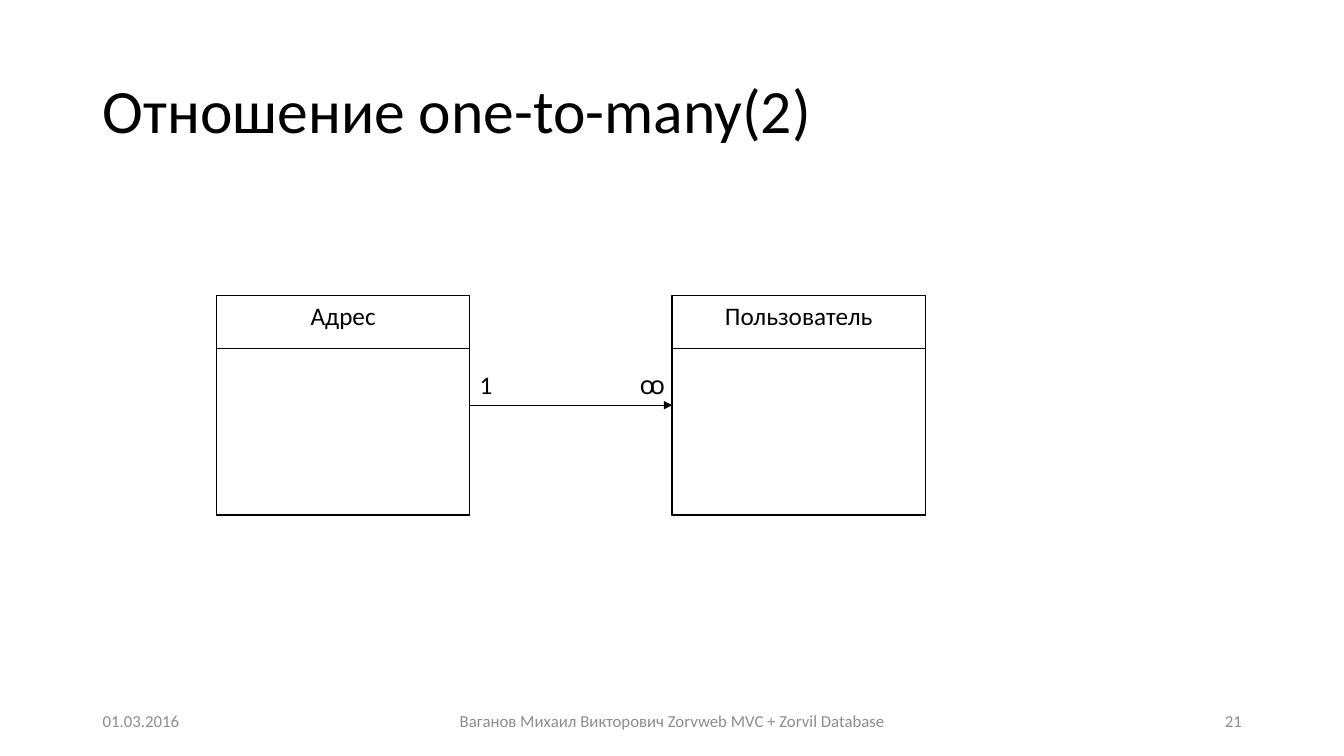
"""Builds a slide showing a one-to-many relation between two entities."""
import pptx
import pptx.util
import pptx.dml.color
import pptx.enum.dml
import pptx.enum.shapes
import pptx.enum.text
import pptx.oxml

Cm = pptx.util.Cm
Pt = pptx.util.Pt
ALIGN = pptx.enum.text.PP_ALIGN
ANCHOR = pptx.enum.text.MSO_ANCHOR
COLORS = {"ink": "000000", "paper": "FFFFFF", "footer": "8C8C8C"}


def color(name):
    return pptx.dml.color.RGBColor.from_string(COLORS[name])


def write(shape, text, size, ink, align, anchor):
    frame = shape.text_frame
    frame.text = text
    frame.vertical_anchor = anchor
    para = frame.paragraphs[0]
    para.alignment = align
    font = para.runs[0].font
    font.name = "Calibri"
    font.size = Pt(size)
    font.color.rgb = color(ink)


deck = pptx.Presentation()
deck.slide_width, deck.slide_height = Cm(33.87), Cm(19.05)
page = deck.slides.add_slide(deck.slide_layouts[5])

title = page.shapes.title
title.left, title.top, title.width, title.height = Cm(2.34), Cm(1.02), Cm(29.21), Cm(3.68)
write(title, "Отношение one-to-many(2)", 44, "ink", ALIGN.LEFT, ANCHOR.MIDDLE)
title.text_frame.paragraphs[0].line_spacing = 0.9

footers = [
    ("01.03.2016", 2.34, 7.62, ALIGN.LEFT),
    ("Ваганов Михаил Викторович Zorvweb MVC + Zorvil Database", 11.23, 11.43, ALIGN.CENTER),
    ("21", 23.93, 7.62, ALIGN.RIGHT),
]
for text, left, width, align in footers:
    footer = page.shapes.add_textbox(Cm(left), Cm(17.65), Cm(width), Cm(1.02))
    footer.text_frame.word_wrap = True
    write(footer, text, 12, "footer", align, ANCHOR.MIDDLE)

entity_width, entity_top, entity_bottom, header_height = 6.38, 7.44, 12.98, 1.35
address_left, user_left = 5.46, 16.94
for name, left in [("Адрес", address_left), ("Пользователь", user_left)]:
    entity = page.shapes.add_group_shape()
    for text, top in [(name, entity_top), ("", entity_top + header_height)]:
        box = entity.shapes.add_shape(
            pptx.enum.shapes.MSO_SHAPE.RECTANGLE,
            Cm(left), Cm(top), Cm(entity_width), Cm(entity_bottom - top))
        box.shadow.inherit = False
        box.fill.solid()
        box.fill.fore_color.rgb = color("paper")
        box.line.color.rgb = color("ink")
        box.line.width = Pt(1)
        if text:
            write(box, text, 18, "ink", ALIGN.CENTER, ANCHOR.TOP)

address_right = address_left + entity_width
middle = (entity_top + entity_bottom) / 2
relation = page.shapes.add_connector(
    pptx.enum.shapes.MSO_CONNECTOR.STRAIGHT,
    Cm(address_right), Cm(middle), Cm(user_left), Cm(middle))
relation.line.color.rgb = color("ink")
relation.line.width = Pt(0.5)
namespace = 'xmlns:a="http://schemas.openxmlformats.org/drawingml/2006/main"'
relation.line._get_or_add_ln().append(
    pptx.oxml.parse_xml(f'<a:tailEnd {namespace} type="triangle"/>'))
relation._element.spPr.append(pptx.oxml.parse_xml(f"<a:effectLst {namespace}/>"))

label_height = 1.02
for text, left, width in [("1", address_right, 0.84), ("ꝏ", user_left - 1.07, 1.07)]:
    label = page.shapes.add_textbox(
        Cm(left), Cm(middle - label_height), Cm(width), Cm(label_height))
    label.text_frame.word_wrap = False
    label.text_frame.auto_size = pptx.enum.text.MSO_AUTO_SIZE.SHAPE_TO_FIT_TEXT
    write(label, text, 18, "ink", ALIGN.LEFT, ANCHOR.TOP)

deck.save("out.pptx")
